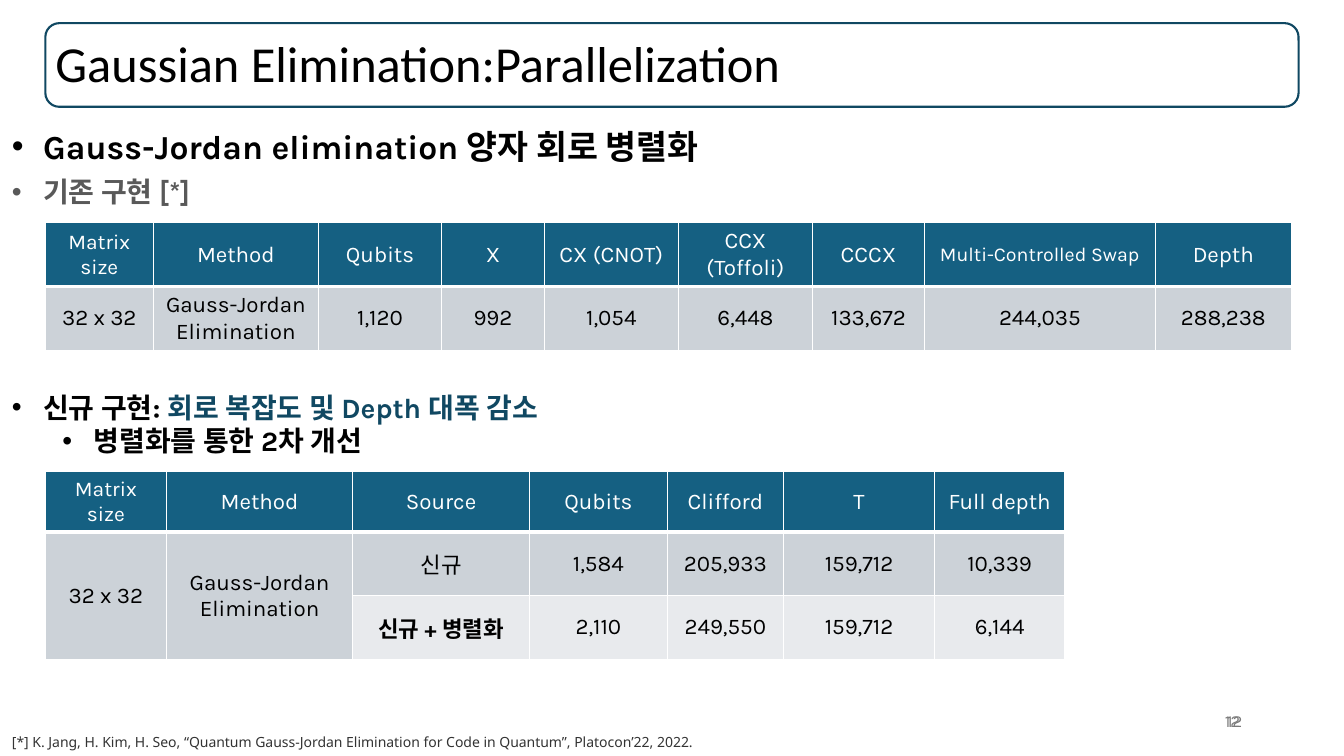
"""Build the slide on parallelized Gaussian elimination."""
from lxml import etree
from pptx import Presentation
from pptx import util as u
from pptx.dml.color import RGBColor
from pptx.enum import shapes, text
from pptx.oxml import ns

BLACK, WHITE, TEAL, NAVY = "000000", "FFFFFF", "156082", "104862"
BAND_FILLS = ["CCD2D8", "E8EAED"]


def color(value):
    return RGBColor.from_string(value)


class SlideBuilder:
    def __init__(self, deck, font="Karla"):
        self.page = deck.slides.add_slide(deck.slide_layouts[5])
        self.font = font

    def style(self, font, size, fill, bold=False, name=None):
        font.name = name or self.font
        font.size = u.Pt(size)
        font.bold = bold
        font.color.rgb = color(fill)

    def frame(self, left, top, width, height):
        box = self.page.shapes.add_shape(
            shapes.MSO_SHAPE.ROUNDED_RECTANGLE,
            u.Inches(left), u.Inches(top), u.Inches(width), u.Inches(height))
        box.shadow.inherit = False
        box.fill.background()
        box.line.color.rgb = color(NAVY)
        box.line.width = u.Pt(1.5)

    def title(self, words, left, top, width, height):
        box = self.page.shapes.title
        box.left, box.top = u.Inches(left), u.Inches(top)
        box.width, box.height = u.Inches(width), u.Inches(height)
        frame = box.text_frame
        frame.text = words
        frame.auto_size = text.MSO_AUTO_SIZE.NONE
        frame.vertical_anchor = text.MSO_ANCHOR.MIDDLE
        para = frame.paragraphs[0]
        para.alignment = text.PP_ALIGN.LEFT
        para.line_spacing = 0.9
        self.style(para.runs[0].font, 36, BLACK, name="Calibri")

    def text_frame(self, left, top, width, height):
        box = self.page.shapes.add_textbox(
            u.Inches(left), u.Inches(top), u.Inches(width), u.Inches(height))
        box.text_frame.word_wrap = True
        return box.text_frame

    def label(self, words, place, size, fill, name=None, align=text.PP_ALIGN.LEFT):
        frame = self.text_frame(*place)
        frame.text = words
        para = frame.paragraphs[0]
        para.alignment = align
        self.style(para.runs[0].font, size, fill, name=name)

    def bullets(self, place, items):
        frame = self.text_frame(*place)
        for index, (level, size, before, spans) in enumerate(items):
            para = frame.add_paragraph() if index else frame.paragraphs[0]
            para.level = level
            props = para._p.get_or_add_pPr()
            props.set("marL", str(u.Inches(0.31 + 0.5 * level)))
            props.set("indent", str(u.Inches(-0.31)))
            etree.SubElement(props, ns.qn("a:buFont"), typeface="Arial")
            etree.SubElement(props, ns.qn("a:buChar"), char="•")
            if before:
                para.space_before = u.Pt(before)
            for words, fill in spans:
                span = para.add_run()
                span.text = words
                self.style(span.font, size, fill, bold=True)

    def borders(self, cell, bottom):
        props = cell._tc.get_or_add_tcPr()
        for index, side in enumerate(("lnL", "lnR", "lnT", "lnB")):
            width = bottom if side == "lnB" else 1
            line = etree.Element(ns.qn(f"a:{side}"), w=str(u.Pt(width)))
            fill = etree.SubElement(line, ns.qn("a:solidFill"))
            etree.SubElement(fill, ns.qn("a:srgbClr"), val=WHITE)
            props.insert(index, line)

    def table(self, left, top, columns, heights, rows, sizes, bold=()):
        grid = self.page.shapes.add_table(
            len(rows), len(columns), u.Inches(left), u.Inches(top),
            u.Inches(sum(columns)), u.Inches(sum(heights))).table
        for column, width in zip(grid.columns, columns):
            column.width = u.Inches(width)
        for r, (row, values) in enumerate(zip(grid.rows, rows)):
            row.height = u.Inches(heights[r])
            for cell, words in zip(row.cells, values):
                cell.fill.solid()
                cell.fill.fore_color.rgb = color(BAND_FILLS[r - 1] if r else TEAL)
                cell.vertical_anchor = text.MSO_ANCHOR.MIDDLE
                self.borders(cell, 1 if r else 3)
                cell.text_frame.text = words
                para = cell.text_frame.paragraphs[0]
                para.alignment = text.PP_ALIGN.CENTER
                self.style(para.font, sizes.get(words, 16),
                           BLACK if r else WHITE, bold=words in bold)
        return grid


def main():
    deck = Presentation()
    deck.slide_width, deck.slide_height = u.Inches(13.33), u.Inches(7.5)
    slide = SlideBuilder(deck)
    header_sizes = {"Matrix size": 15, "Multi-Controlled Swap": 14}

    slide.frame(0.45, 0.23, 12.43, 0.83)
    slide.title("Gaussian Elimination:Parallelization", 0.45, 0.24, 12.43, 0.83)
    slide.bullets((0.02, 1.2, 13.3, 0.95), [
        (0, 24, 0, [("Gauss-Jordan elimination 양자 회로 병렬화", BLACK)]),
        (0, 20, 6, [("기존 구현 [*]", "595959")]),
    ])
    slide.table(
        0.45, 2.21, [1.07, 1.64, 1.22, 1.02, 1.33, 1.33, 1.11, 2.29, 1.35],
        [0.62, 0.62], [
            ["Matrix size", "Method", "Qubits", "X", "CX (CNOT)", "CCX (Toffoli)",
             "CCCX", "Multi-Controlled Swap", "Depth"],
            ["32 x 32", "Gauss-Jordan Elimination", "1,120", "992", "1,054",
             "6,448", "133,672", "244,035", "288,238"],
        ], header_sizes)
    slide.bullets((0.02, 3.82, 11.26, 0.77), [
        (0, 20, 0, [("신규 구현: ", BLACK), ("회로 복잡도 및 Depth 대폭 감소", NAVY)]),
        (1, 20, 0, [("병렬화를 통한 2차 개선", BLACK)]),
    ])
    results = slide.table(
        0.45, 4.68, [1.2, 1.85, 1.75, 1.37, 1.15, 1.5, 1.29], [0.6, 0.63, 0.63], [
            ["Matrix size", "Method", "Source", "Qubits", "Clifford", "T", "Full depth"],
            ["32 x 32", "Gauss-Jordan Elimination", "신규", "1,584", "205,933",
             "159,712", "10,339"],
            ["", "", "신규 + 병렬화", "2,110", "249,550", "159,712", "6,144"],
        ], header_sizes, bold=["신규 + 병렬화"])
    for column in range(2):
        results.cell(1, column).merge(results.cell(2, column))
    slide.label(
        "[*] K. Jang, H. Kim, H. Seo, “Quantum Gauss-Jordan Elimination for Code in "
        "Quantum”, Platocon’22, 2022.",
        (0.02, 7.23, 7.21, 0.27), 10, "333333", name="Noto Sans")
    slide.label("12", (12.05, 7, 0.41, 0.4), 12, "808080")
    slide.label("12", (9.42, 7, 3, 0.4), 12, "797979", align=text.PP_ALIGN.RIGHT)
    deck.save("out.pptx")


if __name__ == "__main__":
    main()
